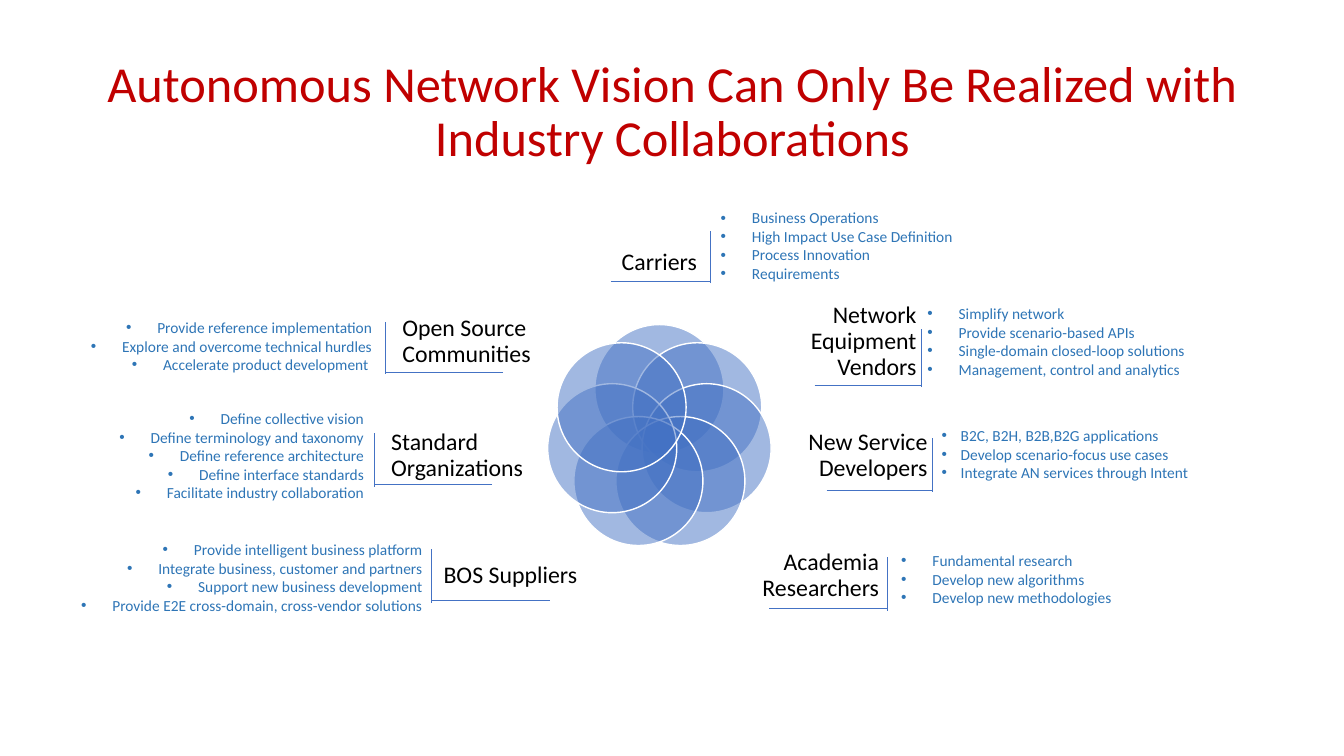
import dataclasses
import math

import lxml.etree
import pptx
import pptx.dml.color
import pptx.enum.shapes
import pptx.enum.text
import pptx.oxml.ns
import pptx.util

Inches = pptx.util.Inches
Align = pptx.enum.text.PP_ALIGN
qn = pptx.oxml.ns.qn

RED = pptx.dml.color.RGBColor(0xC0, 0x00, 0x00)
BLUE = pptx.dml.color.RGBColor(0x44, 0x72, 0xC4)
TEXT_BLUE = pptx.dml.color.RGBColor(0x2E, 0x75, 0xB6)
BLACK = pptx.dml.color.RGBColor(0, 0, 0)
WHITE = pptx.dml.color.RGBColor(0xFF, 0xFF, 0xFF)
FONT = "Calibri"
TITLE = "Autonomous Network Vision Can Only Be Realized with Industry Collaborations"


@dataclasses.dataclass
class Stakeholder:
    """One party: boxes are left, top, width, height; the bracket is corner x, corner y, arm, rise."""
    name: str
    name_box: tuple
    name_align: Align
    items: list
    items_box: tuple
    items_align: Align
    bracket: tuple
    indent: float = 0.31


STAKEHOLDERS = [
    Stakeholder("Carriers", (5.81, 2.22, 1.46, 0.78), Align.CENTER,
                ["Business Operations", "High Impact Use Case Definition",
                 "Process Innovation", "Requirements"],
                (7.05, 2.02, 2.52, 0.84), Align.LEFT, (7.05, 2.79, -0.99, 0.5)),
    Stakeholder("Network Equipment Vendors", (7.71, 2.96, 1.38, 0.86), Align.RIGHT,
                ["Simplify network", "Provide scenario-based APIs",
                 "Single-domain closed-loop solutions", "Management, control and analytics"],
                (9.1, 2.97, 2.76, 0.84), Align.LEFT, (9.14, 3.82, -1.06, 0.56)),
    Stakeholder("New Service Developers", (7.84, 4.06, 1.36, 0.92), Align.RIGHT,
                ["B2C, B2H, B2B,B2G applications", "Develop scenario-focus use cases",
                 "Integrate AN services through Intent"],
                (9.24, 4.18, 2.67, 0.66), Align.LEFT, (9.25, 4.86, -1.05, 0.51), 0.19),
    Stakeholder("Academia Researchers", (7.26, 5.29, 1.46, 0.84), Align.RIGHT,
                ["Fundamental research", "Develop new algorithms", "Develop new methodologies"],
                (8.84, 5.42, 2.3, 0.66), Align.LEFT, (8.8, 6.04, -1.17, 0.51)),
    Stakeholder("BOS Suppliers ", (4.36, 5.29, 1.46, 0.84), Align.CENTER,
                ["Provide intelligent business platform", "Integrate business, customer and partners",
                 "Support new business development", "Provide E2E cross-domain, cross-vendor solutions"],
                (0.67, 5.31, 3.62, 0.84), Align.RIGHT, (4.28, 5.96, 1.17, 0.51)),
    Stakeholder("Standard Organizations", (3.88, 4.06, 1.36, 0.92), Align.LEFT,
                ["Define collective vision", "Define terminology and taxonomy",
                 "Define reference architecture", "Define interface standards",
                 "Facilitate industry collaboration"],
                (1.06, 4.01, 2.65, 1.21), Align.RIGHT, (3.71, 4.81, 1.17, 0.51)),
    Stakeholder("Open Source Communities", (3.99, 2.96, 1.38, 0.86), Align.LEFT,
                ["Provide reference implementation", "Explore and overcome technical hurdles",
                 "Accelerate product development "],
                (0.77, 3.11, 3.02, 0.66), Align.RIGHT, (3.82, 3.69, 1.17, 0.5)),
]


def add_span(para, text, size, color):
    """Add one formatted run to a paragraph."""
    span = para.add_run()
    span.text = text
    span.font.name = FONT
    span.font.size = pptx.util.Pt(size)
    span.font.color.rgb = color


def set_bullet(para, indent):
    """Give a paragraph a round bullet with a hanging indent."""
    props = para._p.get_or_add_pPr()
    props.set("marL", str(Inches(indent)))
    props.set("indent", str(-Inches(indent)))
    lxml.etree.SubElement(props, qn("a:buFont")).set("typeface", "Arial")
    lxml.etree.SubElement(props, qn("a:buChar")).set("char", "•")


def add_title(page, box):
    """Place and fill the title placeholder."""
    title = page.shapes.title
    title.left, title.top, title.width, title.height = map(Inches, box)
    frame = title.text_frame
    frame.word_wrap = True
    frame.auto_size = pptx.enum.text.MSO_AUTO_SIZE.NONE
    frame.vertical_anchor = pptx.enum.text.MSO_ANCHOR.MIDDLE
    para = frame.paragraphs[0]
    para.alignment = Align.CENTER
    para.line_spacing = 0.9
    add_span(para, TITLE, 36, RED)


def add_rosette(page, box, count, diameter):
    """Spread overlapping translucent circles evenly around the centre of the box."""
    left, top, width, height = box
    orbit = (width - diameter) / 2
    for index in range(count):
        angle = math.tau * index / count
        x = left + width / 2 + orbit * math.sin(angle) - diameter / 2
        y = top + height / 2 - orbit * math.cos(angle) - diameter / 2
        circle = page.shapes.add_shape(pptx.enum.shapes.MSO_SHAPE.OVAL, Inches(x), Inches(y),
                                       Inches(diameter), Inches(diameter))
        circle.shadow.inherit = False
        circle.fill.solid()
        circle.fill.fore_color.rgb = BLUE
        color = circle._element.spPr.find(qn("a:solidFill")).find(qn("a:srgbClr"))
        lxml.etree.SubElement(color, qn("a:alpha")).set("val", "50000")
        circle.line.color.rgb = WHITE
        circle.line.width = pptx.util.Pt(1)


def add_name(page, box, text, alignment):
    """Add the name of a stakeholder."""
    frame = page.shapes.add_textbox(*map(Inches, box)).text_frame
    frame.word_wrap = True
    frame.vertical_anchor = pptx.enum.text.MSO_ANCHOR.MIDDLE
    frame.margin_left = frame.margin_right = frame.margin_top = frame.margin_bottom = 0
    para = frame.paragraphs[0]
    para.alignment = alignment
    para.line_spacing = 0.9
    add_span(para, text, 17, BLACK)


def add_items(page, box, items, alignment, indent):
    """Add the bulleted contributions of a stakeholder."""
    frame = page.shapes.add_textbox(*map(Inches, box)).text_frame
    frame.word_wrap = False
    frame.auto_size = pptx.enum.text.MSO_AUTO_SIZE.SHAPE_TO_FIT_TEXT
    for index, item in enumerate(items):
        para = frame.add_paragraph() if index else frame.paragraphs[0]
        para.alignment = alignment
        set_bullet(para, indent)
        add_span(para, item, 11, TEXT_BLUE)


def add_bracket(page, x, y, arm, rise):
    """Draw a horizontal arm and a riser that meet at a corner."""
    for ends in ((x + arm, y, x, y), (x, y + 0.02, x, y - rise)):
        line = page.shapes.add_connector(pptx.enum.shapes.MSO_CONNECTOR.STRAIGHT, *map(Inches, ends))
        line.line.color.rgb = BLUE
        line.line.width = pptx.util.Pt(0.5)
        lxml.etree.SubElement(line._element.spPr, qn("a:effectLst"))


def add_stakeholder(page, party):
    """Add the name, bracket and contributions of one stakeholder."""
    add_name(page, party.name_box, party.name, party.name_align)
    add_items(page, party.items_box, party.items, party.items_align, party.indent)
    add_bracket(page, *party.bracket)


def main():
    """Build and save the deck."""
    deck = pptx.Presentation()
    deck.slide_width = Inches(13.33)
    deck.slide_height = Inches(7.5)
    page = deck.slides.add_slide(deck.slide_layouts[5])
    add_title(page, (0.92, 0.4, 11.5, 1.45))
    add_rosette(page, (5.42, 3.22, 2.24, 2.24), len(STAKEHOLDERS), 1.28)
    for party in STAKEHOLDERS:
        add_stakeholder(page, party)
    deck.save("out.pptx")


if __name__ == "__main__":
    main()
